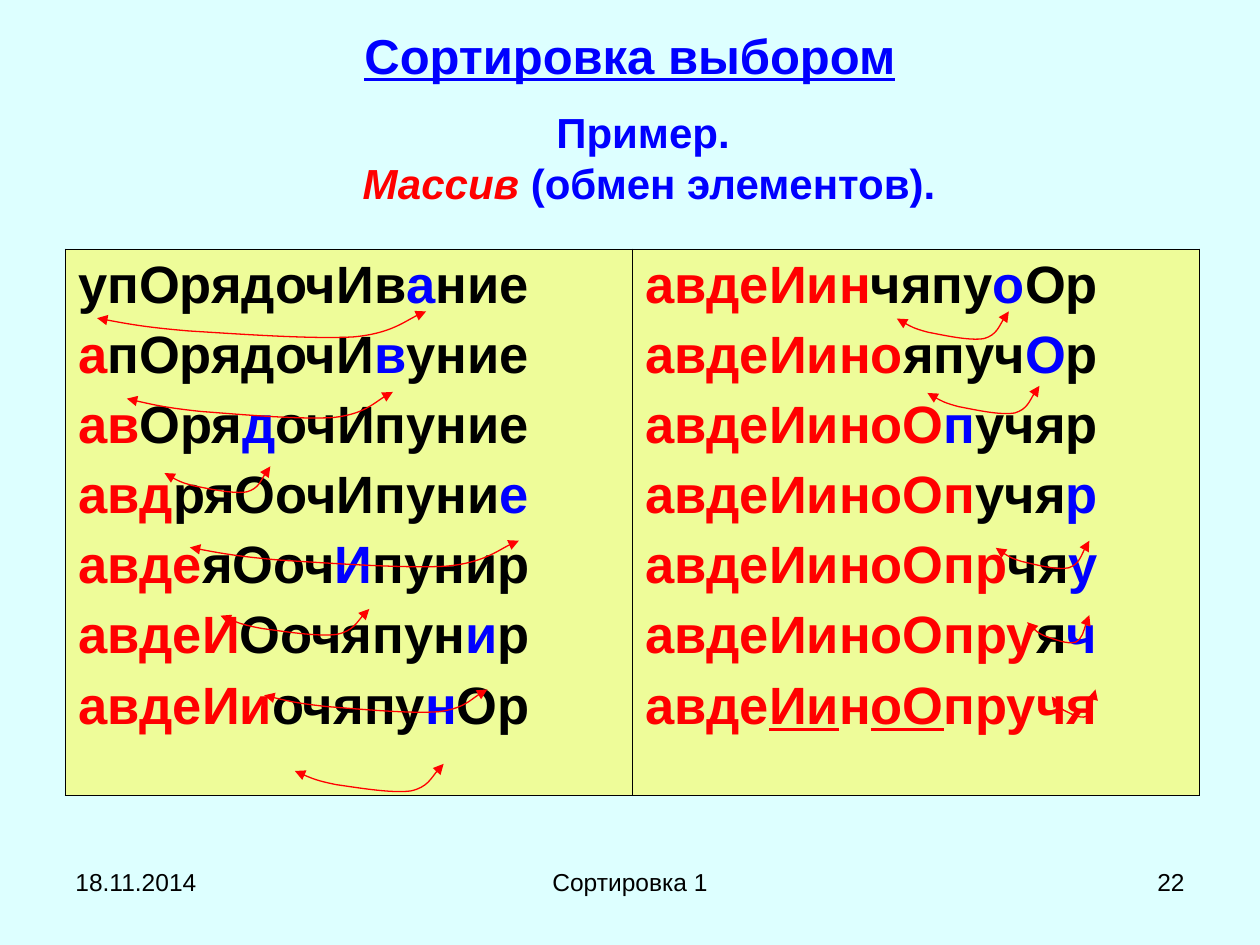
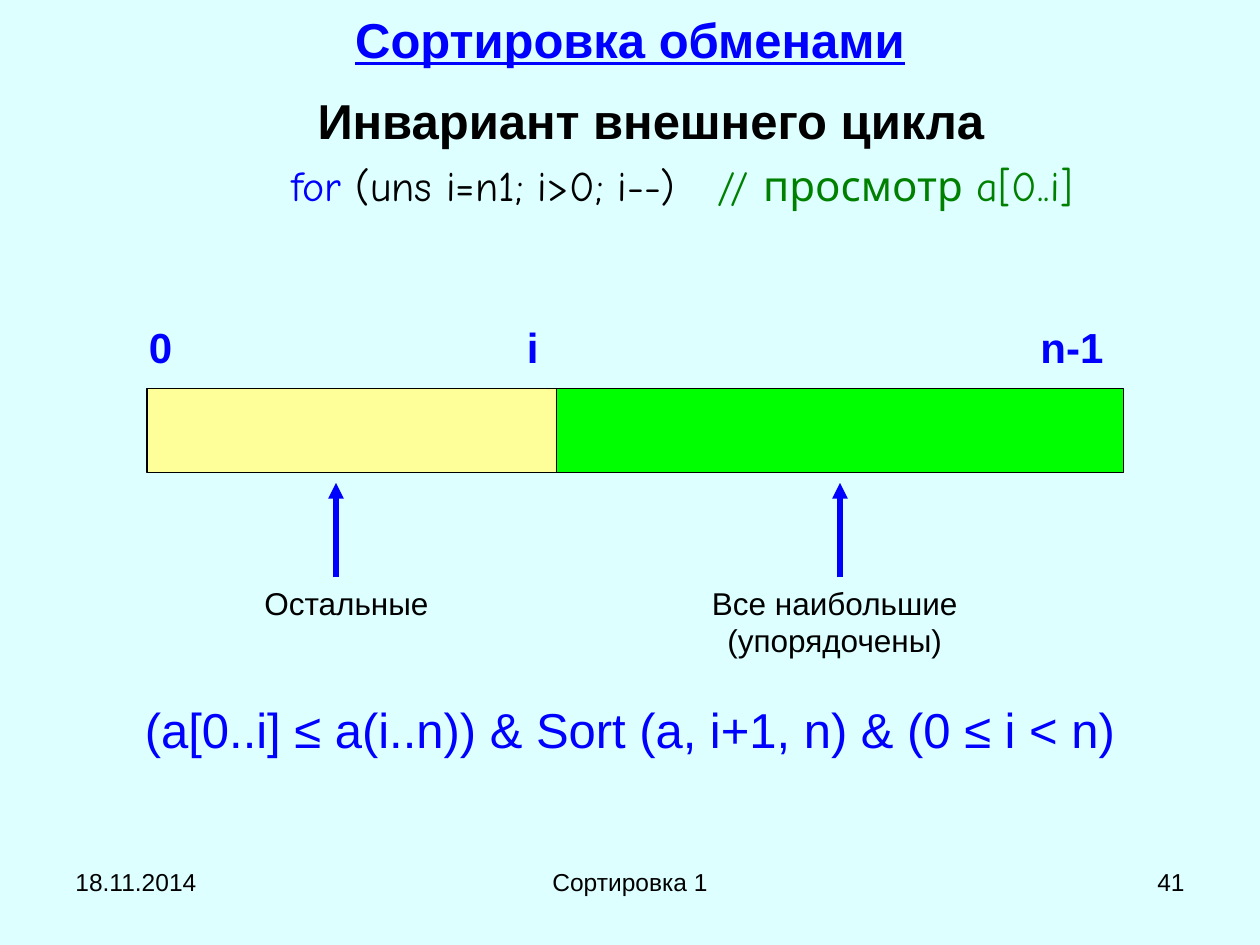
from lxml.etree import SubElement
from pptx import Presentation
from pptx.dml.color import RGBColor
from pptx.enum.shapes import MSO_CONNECTOR as Connector, MSO_SHAPE as Shape
from pptx.enum.text import MSO_ANCHOR as Anchor, PP_ALIGN as Align
from pptx.oxml.ns import qn
from pptx.util import Pt

BACKGROUND = RGBColor(0xDD, 0xFF, 0xFF)
BLACK = RGBColor(0x00, 0x00, 0x00)
BLUE = RGBColor(0x00, 0x00, 0xFF)
RED = RGBColor(0xFF, 0x00, 0x00)
DARK_GREEN = RGBColor(0x00, 0x80, 0x00)
GREEN = RGBColor(0x00, 0xFF, 0x00)
PALE_YELLOW = RGBColor(0xFF, 0xFF, 0x99)
CELL_YELLOW = RGBColor(0xFF, 0xFA, 0x34)

BODY_FONT = "Arial"
CODE_FONT = "Comic Neue"

# Each step of the sort: the array and the position of the next smallest letter
SORT_COLUMNS = [
    [("упОрядочИвание", 10), ("апОрядочИвуние", 9), ("авОрядочИпуние", 5),
     ("авдряОочИпуние", 13), ("авдеяОочИпунир", 8), ("авдеИОочяпунир", 12),
     ("авдеИиочяпунОр", 11)],
    [("авдеИинчяпуоОр", 11), ("авдеИинояпучОр", 12), ("авдеИиноОпучяр", 9),
     ("авдеИиноОпучяр", 13), ("авдеИиноОпрчяу", 13), ("авдеИиноОпруяч", 13)],
]
SORTED_RUNS = [("авде", False), ("Ии", True), ("н", False), ("оО", True), ("пручя", False)]

# Left, top, width and height of each exchange arc
SWAP_ARCS = [
    (55.5, 178, 188, 16), (72.5, 224, 152, 16), (94, 266.5, 60.5, 16),
    (108.5, 309, 188, 16), (126, 348, 85, 16), (151, 394, 127.5, 14),
    (168.5, 436.5, 85, 17),
    (512.5, 178, 64, 17), (530, 220.5, 64, 17), (569, 309, 53.5, 17),
    (587, 351.5, 35.5, 17), (601, 394, 25, 17),
]
# Shares of an arc's width and height: the start, then three points per curve
ARC_POINTS = [
    (0, 0.24), (0.08, 0.42), (0.15, 0.57), (0.28, 0.7),
    (0.41, 0.79), (0.65, 1), (0.78, 0.91),
    (0.89, 0.79), (0.96, 0.16), (1, 0),
]


def add_text(paragraph, text, size=18, color=BLACK, font=BODY_FONT,
             bold=False, italic=False, underline=False):
    run = paragraph.add_run()
    run.text = text
    run.font.size = Pt(size)
    run.font.color.rgb = color
    run.font.name = font
    run.font.bold = bold
    run.font.italic = italic
    run.font.underline = underline


def format_paragraph(paragraph, align=Align.LEFT, space_before=0, indent=0):
    properties = paragraph._p.get_or_add_pPr()
    properties.set("marL", str(Pt(indent)))
    properties.set("indent", "0")
    paragraph.alignment = align
    paragraph.space_before = Pt(space_before)


def add_box(slide, left, top, width, height, text="", align=Align.LEFT,
            anchor=Anchor.TOP, indent=0, **text_format):
    box = slide.shapes.add_textbox(Pt(left), Pt(top), Pt(width), Pt(height))
    frame = box.text_frame
    frame.word_wrap = True
    frame.vertical_anchor = anchor
    format_paragraph(frame.paragraphs[0], align, indent=indent)
    if text:
        add_text(frame.paragraphs[0], text, **text_format)
    return frame


def add_arrowheads(shape, *ends):
    line = shape.line._get_or_add_ln()
    for end in ends:
        SubElement(line, qn(f"a:{end}"), type="triangle")


def add_base_slide(presentation, title, title_top, title_height, number):
    slide = presentation.slides.add_slide(presentation.slide_layouts[6])
    slide.background.fill.solid()
    slide.background.fill.fore_color.rgb = BACKGROUND
    for left, width, text, align in [
        (36, 168, "18.11.2014", Align.LEFT),
        (246, 228, "Сортировка 1", Align.CENTER),
        (516, 168, number, Align.RIGHT),
    ]:
        add_box(slide, left, 492, width, 37.5, text, align, size=14)
    add_box(slide, 36, title_top, 648, title_height, title, Align.CENTER,
            Anchor.MIDDLE, size=28, color=BLUE, bold=True, underline=True)
    return slide


def add_cell_style(cell, borders):
    cell.fill.solid()
    cell.fill.fore_color.rgb = CELL_YELLOW
    properties = cell._tc.get_or_add_tcPr()
    color = properties.find(f".//{qn('a:srgbClr')}")
    SubElement(color, qn("a:alpha"), val="50000")
    # Borders go before the fill, in the order left, right, top, bottom
    for position, (side, width) in enumerate(borders.items()):
        line = SubElement(properties, qn(f"a:{side}"), w=str(Pt(width)))
        fill = SubElement(line, qn("a:solidFill"))
        SubElement(fill, qn("a:srgbClr"), val=str(BLACK))
        properties.insert(position, line)


def add_step(paragraph, word, sorted_count, chosen):
    parts = [(word[:sorted_count], RED), (word[sorted_count:chosen], BLACK),
             (word[chosen], BLUE), (word[chosen + 1:], BLACK)]
    for text, color in parts:
        if text:
            add_text(paragraph, text, size=30, color=color, bold=True)


def add_sort_table(slide):
    frame = slide.shapes.add_table(1, 2, Pt(37.5), Pt(142.5), Pt(648), Pt(312))
    table = frame.table
    table.first_row = table.horz_banding = False
    sorted_count = 0
    for column, steps in enumerate(SORT_COLUMNS):
        cell = table.cell(0, column)
        outer, inner = 1.08, 0.45
        add_cell_style(cell, {"lnL": inner if column else outer,
                              "lnR": outer if column else inner,
                              "lnT": outer, "lnB": outer})
        for row, (word, chosen) in enumerate(steps):
            paragraph = cell.text_frame.paragraphs[0] if row == 0 else cell.text_frame.add_paragraph()
            format_paragraph(paragraph, space_before=6.6 if row else 0)
            add_step(paragraph, word, sorted_count, chosen)
            sorted_count += 1
    # The sorted array, with equal letters underlined
    paragraph = table.cell(0, 1).text_frame.add_paragraph()
    format_paragraph(paragraph, space_before=6.6)
    for text, underline in SORTED_RUNS:
        add_text(paragraph, text, size=30, color=RED, bold=True, underline=underline)


def add_swap_arc(slide, left, top, width, height):
    points = [(Pt(left + x * width), Pt(top + y * height)) for x, y in ARC_POINTS]
    builder = slide.shapes.build_freeform(*points[0])
    builder.add_line_segments(points[1:], close=False)
    arc = builder.convert_to_shape()
    # Turn every three line segments into one Bezier curve
    outline = arc._element.find(f".//{qn('a:path')}")
    segments = outline.findall(qn("a:lnTo"))
    for start in range(0, len(segments), 3):
        curve = SubElement(outline, qn("a:cubicBezTo"))
        for segment in segments[start:start + 3]:
            curve.append(segment[0])
            outline.remove(segment)
    arc.shadow.inherit = False
    arc.fill.background()
    arc.line.color.rgb = RED
    arc.line.width = Pt(0.75)
    add_arrowheads(arc, "headEnd", "tailEnd")


def add_rectangle(slide, left, top, width, height, color):
    rectangle = slide.shapes.add_shape(Shape.RECTANGLE, Pt(left), Pt(top), Pt(width), Pt(height))
    rectangle.shadow.inherit = False
    rectangle.fill.solid()
    rectangle.fill.fore_color.rgb = color
    rectangle.line.color.rgb = BLACK
    rectangle.line.width = Pt(0.75)


def add_up_arrow(slide, x, bottom, top):
    arrow = slide.shapes.add_connector(Connector.STRAIGHT, Pt(x), Pt(bottom), Pt(x), Pt(top))
    arrow.line.color.rgb = BLUE
    arrow.line.width = Pt(3)
    add_arrowheads(arrow, "tailEnd")
    SubElement(arrow._element.spPr, qn("a:effectLst"))


def build_selection_slide(presentation):
    slide = add_base_slide(presentation, "Сортировка выбором", 18, 26.5, "22")
    add_sort_table(slide)
    # Example heading
    heading = {"size": 24, "color": BLUE, "bold": True}
    frame = add_box(slide, 26.5, 57.5, 654, 65, "Пример.", Align.CENTER, indent=28, **heading)
    paragraph = frame.add_paragraph()
    format_paragraph(paragraph, Align.CENTER, indent=28)
    add_text(paragraph, " ", **heading)
    add_text(paragraph, "Массив", size=24, color=RED, bold=True, italic=True)
    add_text(paragraph, " (обмен элементов).", **heading)
    # Exchanges
    for arc in SWAP_ARCS:
        add_swap_arc(slide, *arc)


def build_exchange_slide(presentation):
    slide = add_base_slide(presentation, "Сортировка обменами", 12, 20, "41")
    # Invariant heading and loop
    frame = add_box(slide, 30, 48, 648, 82, "Инвариант внешнего цикла",
                    Align.CENTER, indent=36, size=28, bold=True)
    loop = frame.add_paragraph()
    format_paragraph(loop, Align.CENTER, space_before=6, indent=72)
    for text, color in [("for ", BLUE), ("(uns i=n1; i>0; i--)   ", BLACK),
                        ("// просмотр a[0..i]", DARK_GREEN)]:
        add_text(loop, text, size=24, color=color, font=CODE_FONT)
    # Array bar and its indexes
    add_rectangle(slide, 84, 222, 234, 48, PALE_YELLOW)
    add_rectangle(slide, 318, 222, 324, 48, GREEN)
    for left, width, index in [(78, 42, "0"), (294, 24, "i"), (587.5, 55, "n-1")]:
        add_box(slide, left, 180, width, 36, index, size=24, color=BLUE, bold=True)
    # Parts of the array
    for x, left, width, label in [(192, 90, 216, "Остальные"),
                                  (480, 360, 234, "Все наибольшие (упорядочены)")]:
        add_up_arrow(slide, x, 330, 276)
        add_box(slide, left, 330, width, 50, label, Align.CENTER, size=18)
    # Invariant formula
    add_box(slide, 0, 396, 720, 41, "(a[0..i] ≤ a(i..n)) & Sort (a, i+1, n) & (0 ≤ i < n)",
            Align.CENTER, size=28, color=BLUE)


def main():
    presentation = Presentation()
    presentation.slide_width = Pt(720)
    presentation.slide_height = Pt(540)
    build_selection_slide(presentation)
    build_exchange_slide(presentation)
    presentation.save("out.pptx")


if __name__ == "__main__":
    main()
